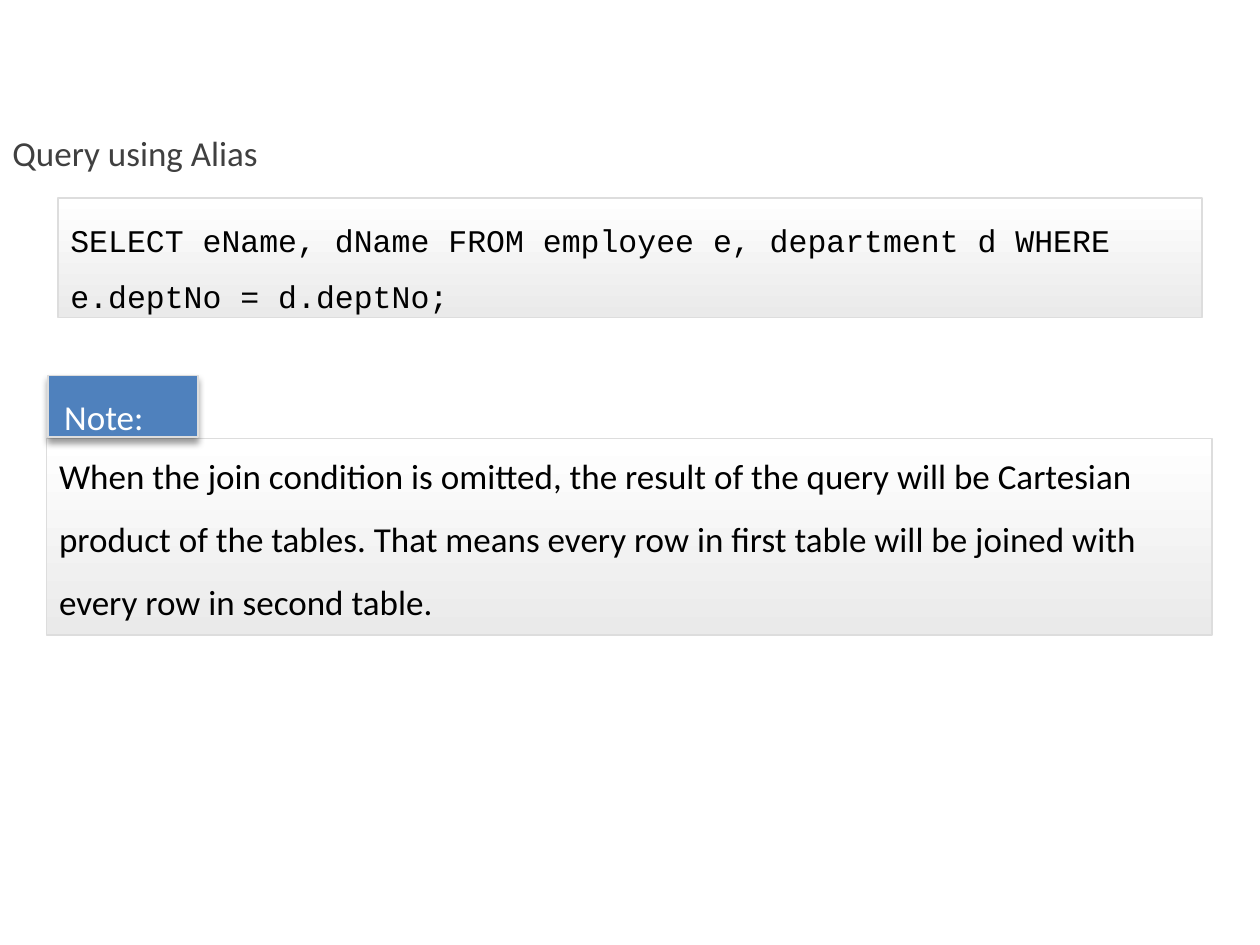
from lxml.etree import SubElement
from pptx import Presentation
from pptx.dml.color import RGBColor
from pptx.enum.shapes import MSO_SHAPE
from pptx.enum.text import MSO_ANCHOR, MSO_AUTO_SIZE, PP_ALIGN
from pptx.oxml.ns import qn
from pptx.util import Inches, Pt

WHITE = RGBColor(0xFF, 0xFF, 0xFF)
PALE_GREY = RGBColor(0xEA, 0xEA, 0xEA)
BORDER_GREY = RGBColor(0xDD, 0xDD, 0xDD)
DARK_GREY = RGBColor(0x40, 0x40, 0x40)
BLACK = RGBColor(0, 0, 0)
BLUE = RGBColor(0x4F, 0x81, 0xBD)
COLUMNS, ROWS = 100, 75


class Page:
    body_font = "Calibri"
    code_font = "Courier New"

    def __init__(self, deck):
        self.slide = deck.slides.add_slide(deck.slide_layouts[6])
        self.column = deck.slide_width / COLUMNS
        self.row = deck.slide_height / ROWS

    def place(self, left, top, width, height):
        return (round(left * self.column), round(top * self.row),
                round(width * self.column), round(height * self.row))

    def set_text(self, frame, text, color, size=20, font=None):
        frame.word_wrap = True
        paragraph = frame.paragraphs[0]
        paragraph.text = text
        paragraph.alignment = PP_ALIGN.LEFT
        paragraph.line_spacing = 1.5
        paragraph.font.name = font or self.body_font
        paragraph.font.size = Pt(size)
        paragraph.font.color.rgb = color

    def heading(self, area, text):
        frame = self.slide.shapes.add_textbox(*self.place(*area)).text_frame
        self.set_text(frame, text, DARK_GREY)
        frame.auto_size = MSO_AUTO_SIZE.SHAPE_TO_FIT_TEXT

    def box(self, parent, area, anchor, insets):
        box = parent.shapes.add_shape(MSO_SHAPE.RECTANGLE, *self.place(*area))
        box.shadow.inherit = False
        box.line.color.rgb = BORDER_GREY
        box.line.width = Pt(1)
        frame = box.text_frame
        frame.vertical_anchor = anchor
        left, top, right, bottom = map(Inches, insets)
        frame.margin_left, frame.margin_top = left, top
        frame.margin_right, frame.margin_bottom = right, bottom
        return box

    def panel(self, parent, area, text, anchor, insets, **style):
        panel = self.box(parent, area, anchor, insets)
        panel.fill.gradient()
        panel.fill.gradient_angle = 270
        for stop, color, position in zip(panel.fill.gradient_stops, (WHITE, PALE_GREY), (0, 1)):
            stop.color.rgb = color
            stop.position = position
        self.set_text(panel.text_frame, text, BLACK, **style)

    def label(self, parent, area, text):
        label = self.box(parent, area, MSO_ANCHOR.MIDDLE, (0.13, 0, 0, 0))
        label.fill.solid()
        label.fill.fore_color.rgb = BLUE
        self.set_text(label.text_frame, text, WHITE)
        effects = label._element.spPr.find(qn("a:effectLst"))
        shadow = SubElement(effects, qn("a:outerShdw"), blurRad=str(Pt(4)),
                            dist=str(Pt(3)), dir="5400000", rotWithShape="0")
        shade = SubElement(shadow, qn("a:srgbClr"), val=str(BLACK))
        SubElement(shade, qn("a:alpha"), val="40000")

    def note(self, body_area, label_area, label, text):
        group = self.slide.shapes.add_group_shape()
        self.panel(group, body_area, text, MSO_ANCHOR.BOTTOM, (0.1, 0, 0.1, 0.1))
        self.label(group, label_area, label)


def main():
    deck = Presentation()
    deck.slide_width, deck.slide_height = Inches(10), Inches(7.5)
    page = Page(deck)
    page.heading((0, 8.3, 70.9, 5.4), "Query using Alias")
    page.panel(
        page.slide, (4.6, 15.7, 90.8, 9.5),
        "SELECT eName, dName FROM employee e, department d WHERE e.deptNo = d.deptNo;",
        MSO_ANCHOR.TOP, (0.1, 0.03, 0.1, 0), size=18, font=page.code_font)
    page.note(
        (3.7, 34.8, 92.5, 15.6), (3.8, 29.8, 11.9, 4.9), "Note:",
        "When the join condition is omitted, the result of the query will be Cartesian "
        "product of the tables. That means every row in first table will be joined with "
        "every row in second table.")
    deck.save("out.pptx")


if __name__ == "__main__":
    main()
